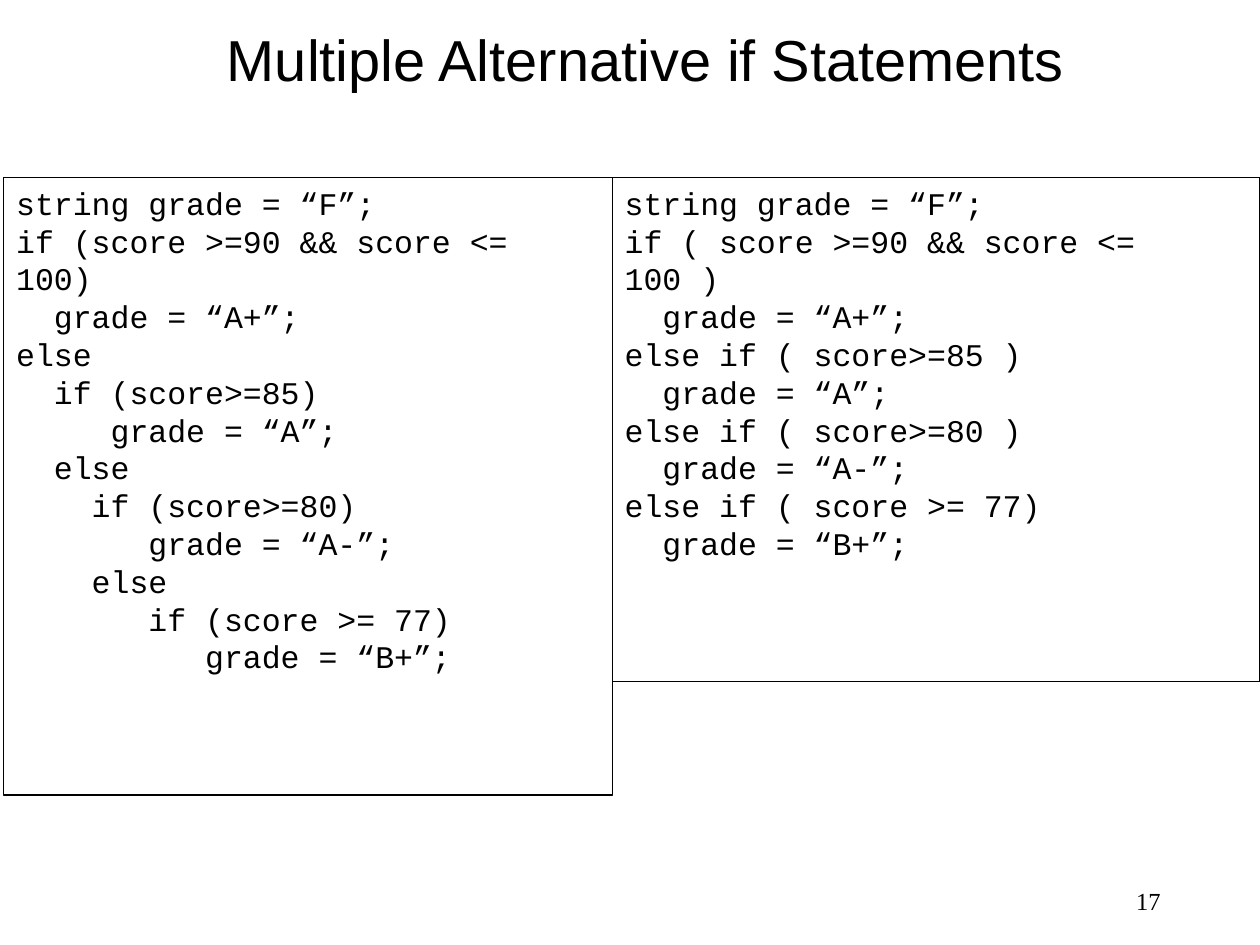
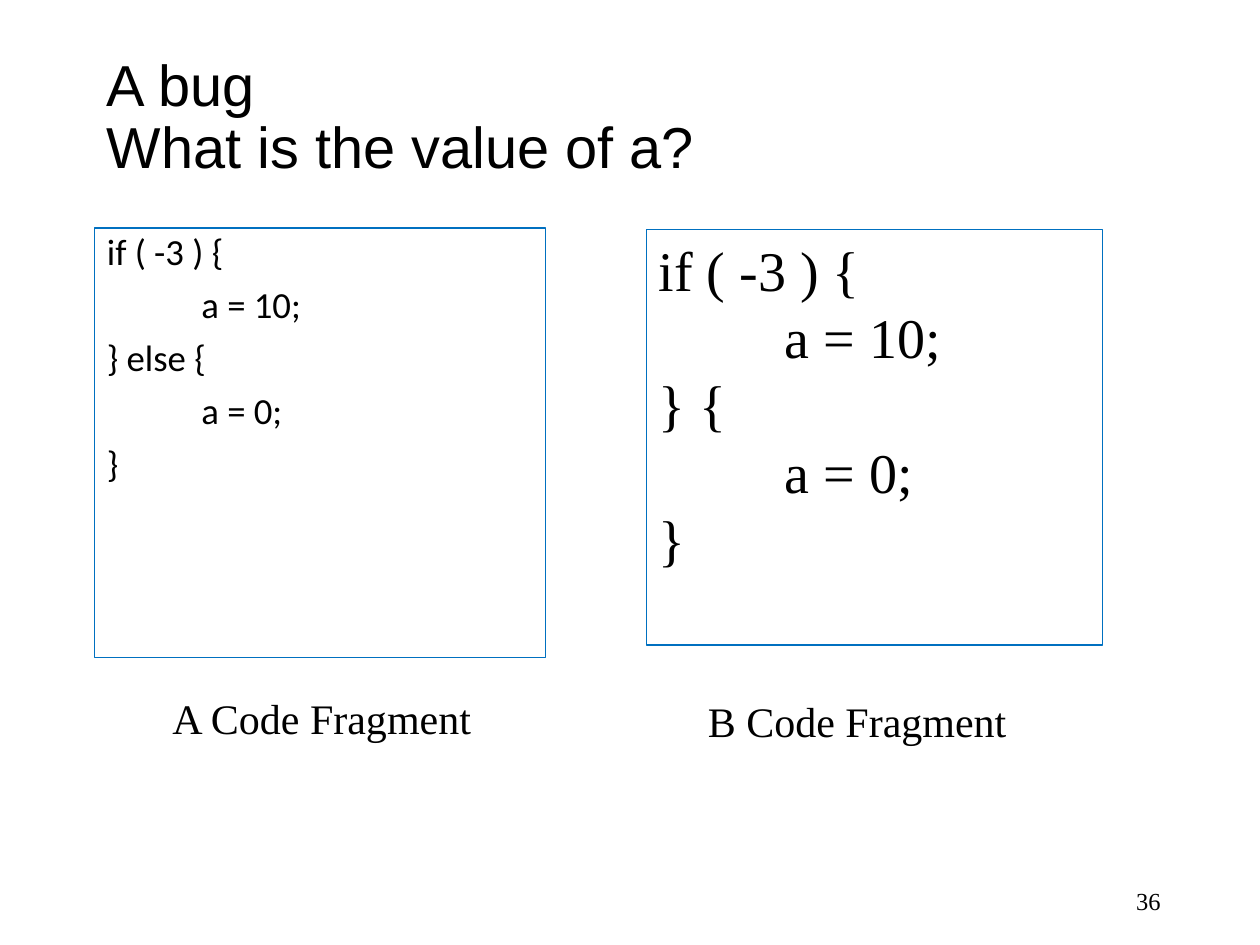
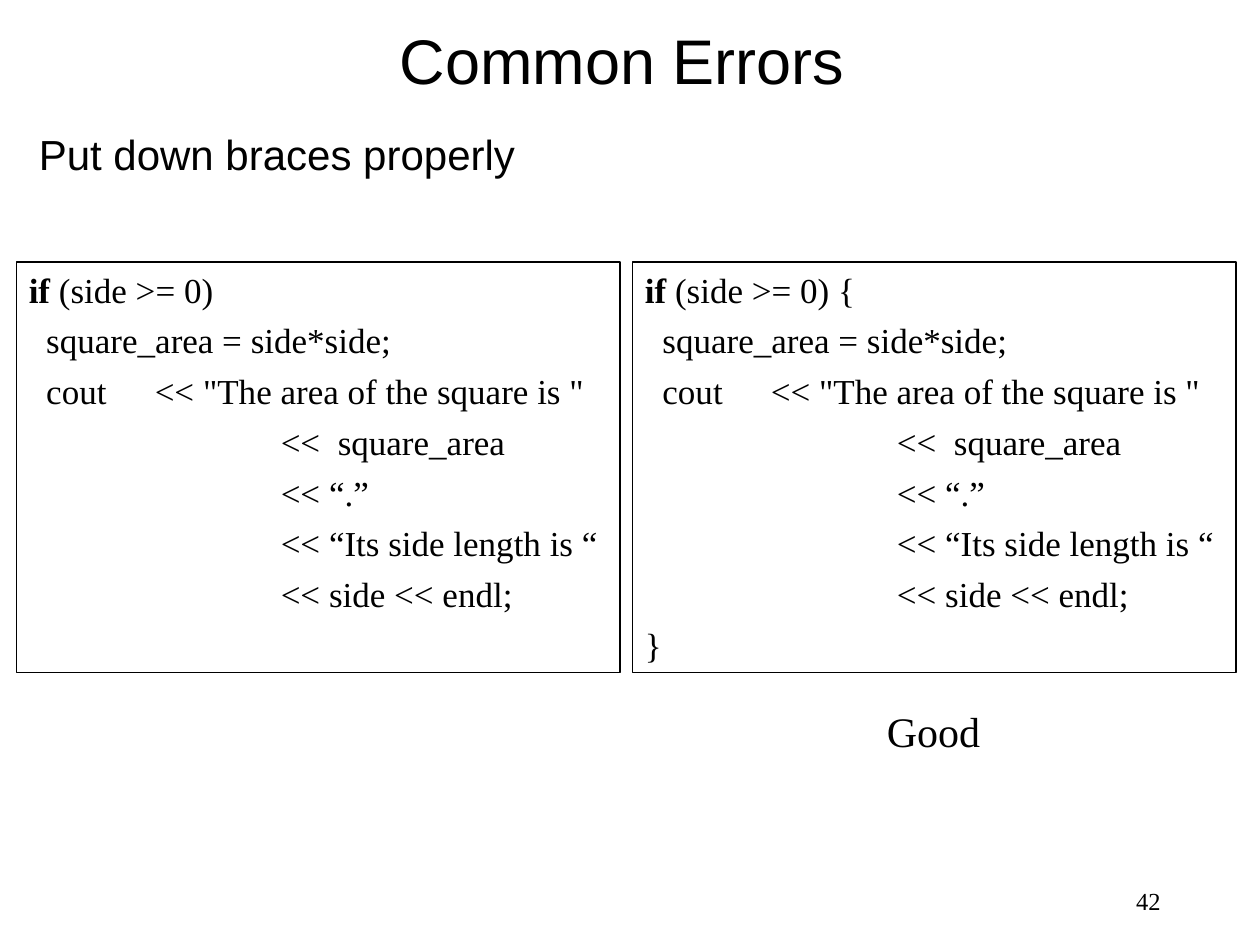
import pptx
import pptx.dml.color
import pptx.enum.shapes
import pptx.enum.text
import pptx.oxml.ns
import pptx.util
from lxml import etree

Inches = pptx.util.Inches
Align = pptx.enum.text.PP_ALIGN
Anchor = pptx.enum.text.MSO_ANCHOR

BLACK = pptx.dml.color.RGBColor(0x00, 0x00, 0x00)
BLUE = pptx.dml.color.RGBColor(0x00, 0x70, 0xC0)
SANS, SERIF, MONO, BODY = "Arial", "Times New Roman", "Courier New", "Calibri"

NESTED_GRADES = """string grade = “F”;
if (score >=90 && score <= 100)
  grade = “A+”;
else
  if (score>=85)
     grade = “A”;
  else
    if (score>=80)
       grade = “A-”;
    else
       if (score >= 77)
          grade = “B+”;"""

CHAINED_GRADES = """string grade = “F”;
if ( score >=90 && score <= 100 )
  grade = “A+”;
else if ( score>=85 )
  grade = “A”;
else if ( score>=80 )
  grade = “A-”;
else if ( score >= 77)
  grade = “B+”;"""

AREA_BODY = """
  square_area = side*side;
  cout \t<< "The area of the square is "
\t\t<<  square_area
\t\t<< “.”
\t\t<< “Its side length is “
\t\t<< side << endl;"""


class Deck:
    """Holds the lecture style and the slide being filled."""

    def __init__(self):
        self.prs = pptx.Presentation()
        self.prs.slide_width, self.prs.slide_height = Inches(10), Inches(7.5)
        self.slide = None

    def new_slide(self, number):
        self.slide = self.prs.slides.add_slide(self.prs.slide_layouts[6])
        self.text(str(number), (7.06, 6.95, 2.25, 0.4), 14,
                  align=Align.RIGHT, anchor=Anchor.MIDDLE)

    def title(self, wording, at, size=33, align=Align.CENTER):
        self.text(wording, at, size, SANS, align=align, anchor=Anchor.MIDDLE, line_spacing=0.9)

    def text(self, wording, at, size, font=SERIF, align=Align.LEFT,
             anchor=Anchor.TOP, line_spacing=1.0, wrap=True):
        frame = self.slide.shapes.add_textbox(*map(Inches, at)).text_frame
        frame.word_wrap = wrap
        frame.vertical_anchor = anchor
        paragraph = frame.paragraphs[0]
        paragraph.alignment, paragraph.line_spacing = align, line_spacing
        for index, line in enumerate(wording.split("\n")):
            if index:
                paragraph.add_line_break()
            self.run(paragraph, line, size, font)

    def caption(self, wording, at):
        self.text(wording, at, 24, wrap=False)

    def code(self, source, at, size, font=SERIF, border=BLACK, tab=1.0,
             space_before=0, line_spacing=1.0, keyword=""):
        box = self.slide.shapes.add_shape(
            pptx.enum.shapes.MSO_SHAPE.RECTANGLE, *map(Inches, at))
        box.shadow.inherit = False
        box.fill.background()
        box.line.color.rgb = border
        box.line.width = pptx.util.Pt(0.75)
        frame = box.text_frame
        frame.word_wrap = True
        frame.vertical_anchor = Anchor.TOP
        for index, line in enumerate(source.split("\n")):
            paragraph = frame.add_paragraph() if index else frame.paragraphs[0]
            paragraph.alignment, paragraph.line_spacing = Align.LEFT, line_spacing
            paragraph.space_before = pptx.util.Pt(space_before if index else 0)
            self.tab_stops(paragraph, tab)
            if keyword and line.startswith(keyword):
                self.run(paragraph, keyword, size, font, bold=True)
                line = line.removeprefix(keyword)
            self.run(paragraph, line, size, font)

    def tab_stops(self, paragraph, step):
        qn = pptx.oxml.ns.qn
        stops = etree.SubElement(paragraph._p.get_or_add_pPr(), qn("a:tabLst"))
        for count in range(1, 8):
            etree.SubElement(stops, qn("a:tab"), pos=str(Inches(step * count)), algn="l")

    def run(self, paragraph, wording, size, font, bold=False):
        run = paragraph.add_run()
        run.text = wording
        run.font.size, run.font.name, run.font.bold = pptx.util.Pt(size), font, bold
        run.font.color.rgb = BLACK


def alternatives(deck):
    deck.new_slide(17)
    deck.title("Multiple Alternative if Statements", (0.75, 0, 8.75, 1))
    deck.code(NESTED_GRADES, (0.03, 1.41, 4.83, 4.9), 18, MONO)
    deck.code(CHAINED_GRADES, (4.86, 1.41, 5.14, 4), 18, MONO)


def bug(deck):
    deck.new_slide(36)
    deck.title("A bug\nWhat is the value of a?", (0.75, 0.31, 8.5, 1.27), align=Align.LEFT)
    fragment = "if ( -3 ) {{\n\ta = 10;\n}} {}{{\n\ta = 0;\n}}"
    deck.code(fragment.format("else "), (0.75, 1.81, 3.58, 3.41), 21, BODY, BLUE,
              tab=0.75, space_before=7.5, line_spacing=0.9)
    deck.code(fragment.format(""), (5.13, 1.82, 3.62, 3.3), 32, border=BLUE)
    deck.caption("A Code Fragment", (1.27, 5.45, 2.59, 0.5))
    deck.caption("B Code Fragment", (5.52, 5.47, 2.57, 0.5))


def common_errors(deck):
    deck.new_slide(42)
    deck.title("Common Errors", (0.21, 0.26, 9.45, 0.5), size=36)
    deck.text("Put down braces properly", (0.21, 1.02, 9.53, 0.67), 24, SANS, line_spacing=0.9)
    for left, opening, closing in ((0.13, "", ""), (5.02, " {", "\n}")):
        deck.code(f"if (side >= 0){opening}{AREA_BODY}{closing}", (left, 2.08, 4.79, 3.26), 20,
                  space_before=5, keyword="if")
    deck.caption("Good", (6.94, 5.55, 0.94, 0.5))


def main():
    deck = Deck()
    for build in (alternatives, bug, common_errors):
        build(deck)
    deck.prs.save("out.pptx")


if __name__ == "__main__":
    main()
